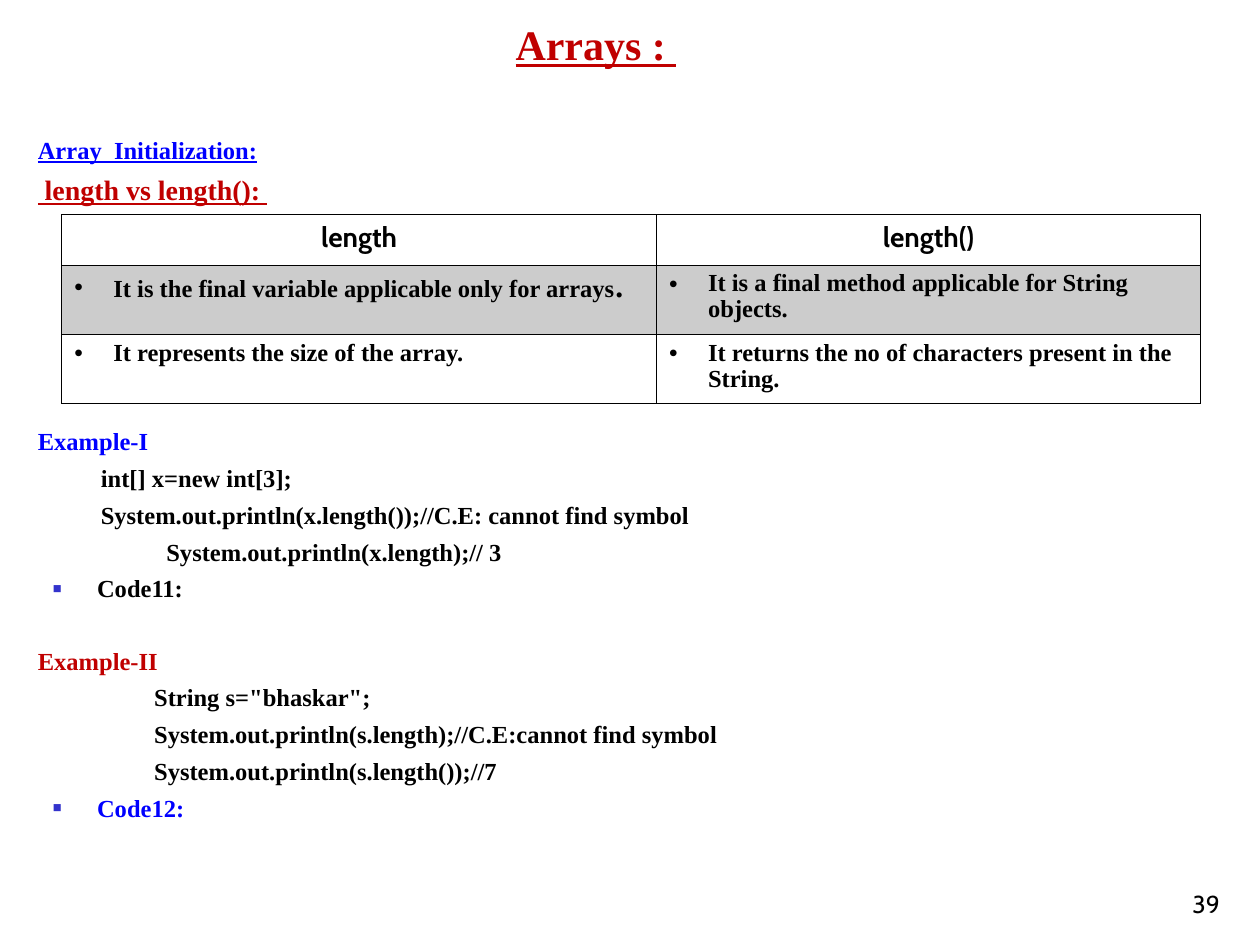
from dataclasses import dataclass

from lxml import etree
from pptx import Presentation
from pptx import util as u
from pptx.dml.color import RGBColor
from pptx.enum import text
from pptx.oxml import ns

WIDTH, HEIGHT = u.Inches(10), u.Inches(7.5)


@dataclass(frozen=True)
class Theme:
    serif: str = "Times New Roman"
    sans: str = "Cabin"
    black: str = "000000"
    white: str = "FFFFFF"
    band: str = "CCCCCC"
    blue: str = "0000FF"
    red: str = "C00000"
    bullet: str = "3333CC"
    title: float = 24
    large: float = 18
    heading: float = 16
    body: float = 14
    line_gap: float = 4.2
    border: float = 0.5


THEME = Theme()

# Body lines: text, colour, kind, space before in points (None = usual gap)
BODY = [
    ("Array  Initialization:", THEME.blue, "underlined", 0),
    (" length vs length(): ", THEME.red, "heading", 5),
    ("Example-I", THEME.blue, "plain", 125.6),
    ("\tint[] x=new int[3];", THEME.black, "plain", None),
    ("\tSystem.out.println(x.length());//C.E: cannot find symbol", THEME.black, "plain", None),
    (" " * 21 + "System.out.println(x.length);// 3", THEME.black, "plain", None),
    ("Code11:", THEME.black, "bullet", None),
    ("Example-II", THEME.red, "plain", 24.5),
    (" " * 19 + 'String s="bhaskar";', THEME.black, "plain", None),
    (" " * 19 + "System.out.println(s.length);//C.E:cannot find symbol", THEME.black, "plain", None),
    (" " * 19 + "System.out.println(s.length());//7", THEME.black, "plain", None),
    ("Code12:", THEME.blue, "bullet", None),
]

HEADERS = ["length", "length()"]
COMPARISON = [
    ["It is the final variable applicable only for arrays.",
     "It is a final method applicable for String objects."],
    ["It represents the size of the array.",
     "It returns the no of characters present in the String."],
]


def place(shape, left, top, width, height):
    """Position a shape by shares of the slide's size."""
    shape.left, shape.top = int(WIDTH * left), int(HEIGHT * top)
    shape.width, shape.height = int(WIDTH * width), int(HEIGHT * height)


def style(span, size, color, font=THEME.serif, bold=True, underline=False):
    span.font.size = u.Pt(size)
    span.font.name = font
    span.font.bold = bold
    span.font.underline = underline
    span.font.color.rgb = RGBColor.from_string(color)


def add_xml(parent, tag, **attributes):
    child = etree.SubElement(parent, ns.qn(tag))
    for name, value in attributes.items():
        child.set(name, str(value))
    return child


def set_bullet(para, char, color, size, margin, hang):
    """Give a paragraph a hanging bullet; lengths are in inches."""
    props = para._p.get_or_add_pPr()
    props.set("marL", str(u.Inches(margin)))
    props.set("indent", str(-u.Inches(hang)))
    add_xml(add_xml(props, "a:buClr"), "a:srgbClr", val=color)
    add_xml(props, "a:buSzPct", val=size * 1000)
    add_xml(props, "a:buFont", typeface="Arial")
    add_xml(props, "a:buChar", char=char)


def set_plain(para, tab):
    """Drop the inherited bullet and add one tab stop."""
    props = para._p.get_or_add_pPr()
    props.set("marL", "0")
    props.set("indent", "0")
    add_xml(props, "a:buNone")
    add_xml(add_xml(props, "a:tabLst"), "a:tab", pos=u.Inches(tab), algn="l")


def add_title(page):
    title = page.shapes.title
    place(title, 0.047, 0, 0.852, 0.08)
    frame = title.text_frame
    frame.text = "Arrays : "
    frame.auto_size = text.MSO_AUTO_SIZE.NONE
    frame.vertical_anchor = text.MSO_ANCHOR.BOTTOM
    para = frame.paragraphs[0]
    para.alignment = text.PP_ALIGN.CENTER
    style(para.runs[0], THEME.title, THEME.red, underline=True)


def add_body(page):
    body = page.placeholders[1]
    place(body, 0.02, 0.136, 0.933, 0.805)
    frame = body.text_frame
    frame.text = "\n".join(line[0] for line in BODY)
    frame.auto_size = text.MSO_AUTO_SIZE.NONE
    frame.vertical_anchor = text.MSO_ANCHOR.TOP
    for para, (_, color, kind, gap) in zip(frame.paragraphs, BODY):
        if kind == "bullet":
            set_bullet(para, "■", THEME.bullet, 60, 0.47, 0.35)
        else:
            set_plain(para, tab=1)
        para.space_before = u.Pt(THEME.line_gap if gap is None else gap)
        size = THEME.heading if kind == "heading" else THEME.body
        style(para.runs[0], size, color, underline=kind in ("heading", "underlined"))


def format_cell(cell, fill):
    props = cell._tc.get_or_add_tcPr()
    for side in ("a:lnL", "a:lnR", "a:lnT", "a:lnB"):
        line = add_xml(props, side, w=u.Pt(THEME.border))
        add_xml(add_xml(line, "a:solidFill"), "a:srgbClr", val=THEME.black)
    cell.fill.solid()
    cell.fill.fore_color.rgb = RGBColor.from_string(fill)


def add_comparison(page):
    rows, columns = len(COMPARISON) + 1, len(HEADERS)
    holder = page.shapes.add_table(rows, columns, 0, 0, WIDTH, HEIGHT)
    place(holder, 0.049, 0.227, 0.904, 0.2)
    table = holder.table
    table.first_row = table.horz_banding = False
    for column, width in zip(table.columns, (4.72, 4.32)):
        column.width = u.Inches(width)
    for row, height in zip(table.rows, (0.4, 0.55, 0.55)):
        row.height = u.Inches(height)

    # Header row
    for column, label in enumerate(HEADERS):
        cell = table.cell(0, column)
        cell.text = label
        format_cell(cell, THEME.white)
        para = cell.text_frame.paragraphs[0]
        para.alignment = text.PP_ALIGN.CENTER
        style(para.runs[0], THEME.heading, THEME.black, THEME.sans)

    # Bulleted rows, the first one shaded
    for row, entries in enumerate(COMPARISON, start=1):
        for column, entry in enumerate(entries):
            cell = table.cell(row, column)
            format_cell(cell, THEME.band if row == 1 else THEME.white)
            para = cell.text_frame.paragraphs[0]
            set_bullet(para, "•", THEME.black, 100, 0.31, 0.31)
            para.line_spacing = 0.96
            enlarged_stop = (row, column) == (1, 0)
            span = para.add_run()
            span.text = entry[:-1] if enlarged_stop else entry
            style(span, THEME.body, THEME.black)
            if enlarged_stop:
                stop = para.add_run()
                stop.text = entry[-1]
                style(stop, THEME.large, THEME.black)


def add_page_number(page, number):
    box = page.shapes.add_textbox(0, 0, 0, 0)
    place(box, 0.77, 0.911, 0.208, 0.067)
    frame = box.text_frame
    frame.word_wrap = True
    frame.vertical_anchor = text.MSO_ANCHOR.BOTTOM
    frame.text = str(number)
    para = frame.paragraphs[0]
    para.alignment = text.PP_ALIGN.RIGHT
    style(para.runs[0], THEME.body, THEME.black, THEME.sans, bold=False)


def main():
    deck = Presentation()
    deck.slide_width, deck.slide_height = WIDTH, HEIGHT
    page = deck.slides.add_slide(deck.slide_layouts[1])
    add_title(page)
    add_body(page)
    add_page_number(page, 39)
    add_comparison(page)
    deck.save("out.pptx")


if __name__ == "__main__":
    main()
